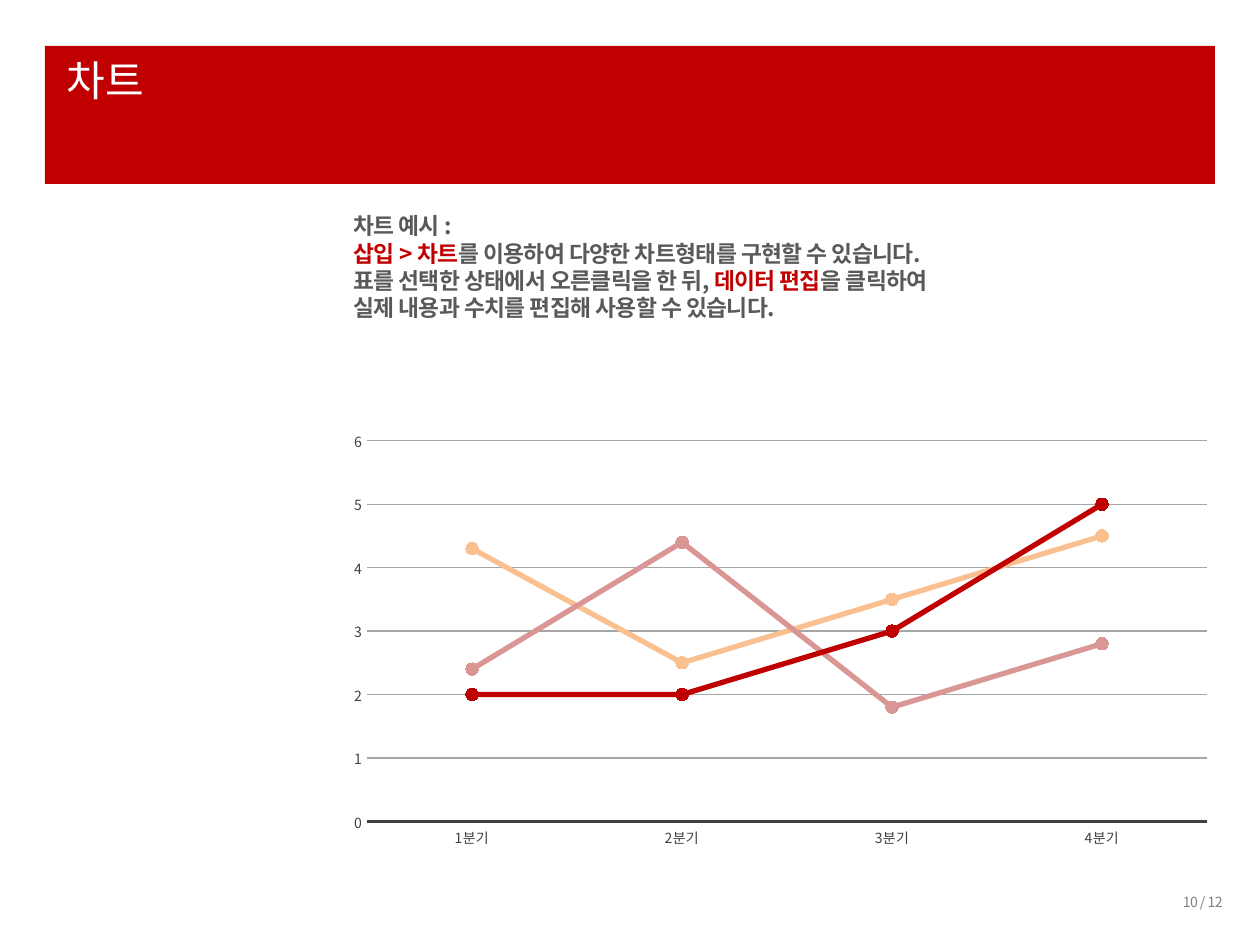
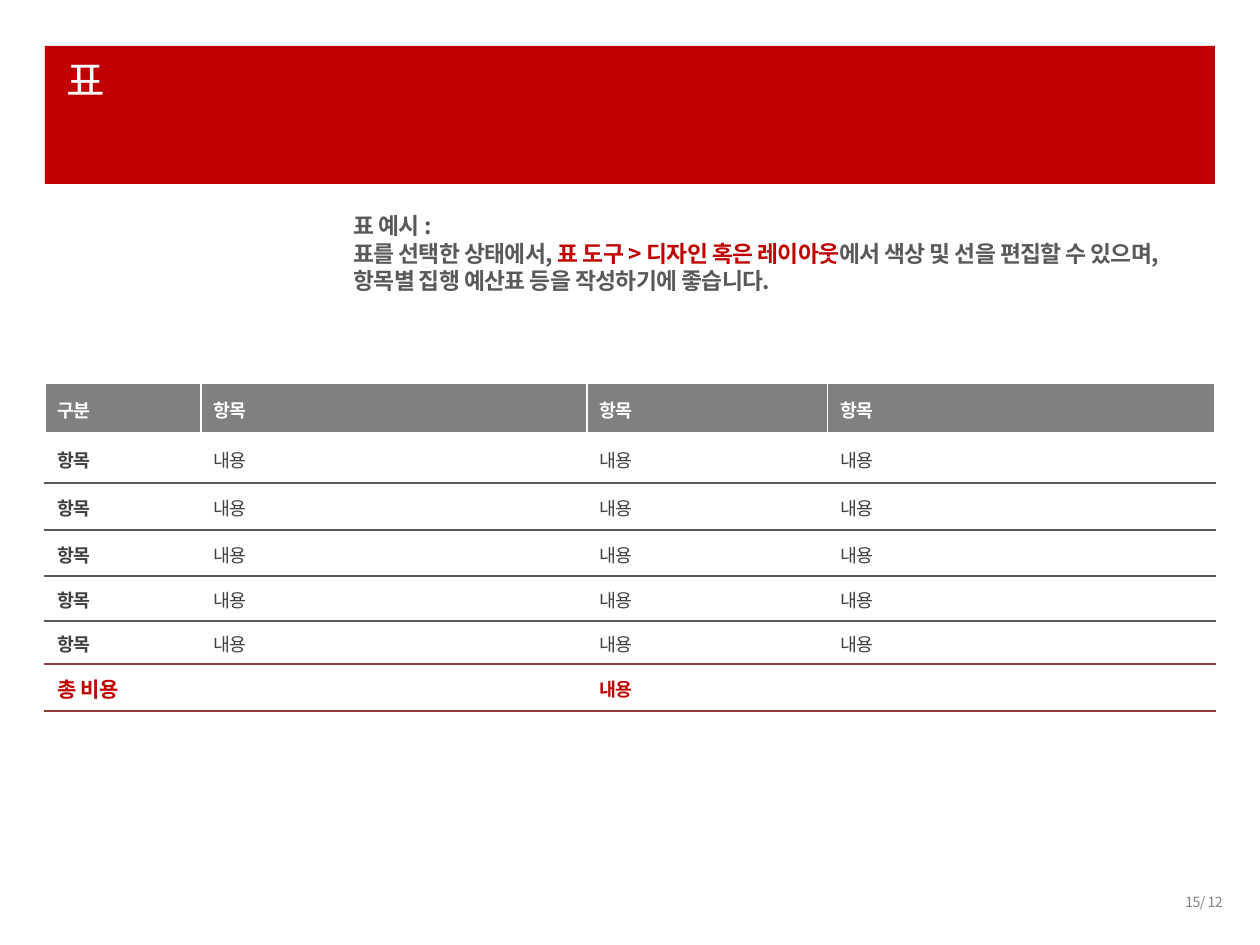
from lxml.etree import SubElement
from pptx import Presentation
from pptx.chart.data import CategoryChartData
from pptx.dml.color import RGBColor
from pptx.enum.chart import XL_CHART_TYPE as ChartType, XL_MARKER_STYLE as Marker, XL_TICK_MARK as Tick
from pptx.enum.shapes import MSO_SHAPE as Shape
from pptx.enum.text import MSO_ANCHOR as Anchor, MSO_AUTO_SIZE as AutoSize, PP_ALIGN as Align
from pptx.oxml import parse_xml
from pptx.oxml.ns import nsdecls, qn
from pptx.util import Emu, Pt

PX_PER_INCH = 126
FONT = "Noto Sans CJK KR"
RED = RGBColor(0xC0, 0x00, 0x00)
DARK_RED = RGBColor(0x95, 0x37, 0x35)
ROSE = RGBColor(0xD9, 0x96, 0x94)
PEACH = RGBColor(0xFA, 0xC0, 0x90)
WHITE = RGBColor(0xFF, 0xFF, 0xFF)
INK = RGBColor(0x40, 0x40, 0x40)
BODY_GRAY = RGBColor(0x59, 0x59, 0x59)
MID_GRAY = RGBColor(0x80, 0x80, 0x80)
GRID_GRAY = RGBColor(0xA6, 0xA6, 0xA6)

CHART_GUIDE = [
    "차트 예시 :",
    "*삽입 > 차트*를 이용하여 다양한 차트형태를 구현할 수 있습니다.",
    "표를 선택한 상태에서 오른클릭을 한 뒤, *데이터 편집*을 클릭하여",
    "실제 내용과 수치를 편집해 사용할 수 있습니다.",
]
TABLE_GUIDE = [
    "표 예시 :",
    "표를 선택한 상태에서, *표 도구 > 디자인 혹은 레이아웃*에서 색상 및 선을 편집할 수 있으며,",
    "항목별 집행 예산표 등을 작성하기에 좋습니다.",
]
QUARTERS = ["1분기", "2분기", "3분기", "4분기"]
QUARTER_SERIES = [
    ("내용", (4.3, 2.5, 3.5, 4.5), PEACH),
    ("내용2", (2.4, 4.4, 1.8, 2.8), ROSE),
    ("내용3", (2, 2, 3, 5), RED),
]
BUDGET_ROWS = [
    ["구분", "항목", "항목", "항목"],
    *[["항목", "내용", "내용", "내용"]] * 5,
    ["총 비용", "", "내용", ""],
]
COLUMN_WIDTHS = [156, 386, 241, 387]
ROW_HEIGHTS = [50, 50, 47, 46, 45, 43, 47]
RULE_COLORS = [WHITE] + [BODY_GRAY] * 4 + [DARK_RED] * 2


def px(length):
    return Emu(round(length * 914400 / PX_PER_INCH))


def box(*lengths):
    return [px(length) for length in lengths]


def style_font(font, size, color, bold=False, spacing=None):
    """Format Latin and East Asian text alike; spacing is in hundredths of a point."""
    font.size = Pt(size)
    font.bold = bold
    font.color.rgb = color
    font.name = FONT
    SubElement(font._rPr, qn("a:ea"), typeface=FONT)
    if spacing is not None:
        font._rPr.set("spc", str(spacing))


def add_titled_slide(prs, title_text):
    slide = prs.slides.add_slide(prs.slide_layouts[5])
    title = slide.shapes.title
    title.left, title.top, title.width, title.height = box(54, 48, 1134, 118)
    frame = title.text_frame
    frame.text = title_text
    frame.auto_size = AutoSize.NONE
    frame.vertical_anchor = Anchor.TOP
    frame.paragraphs[0].alignment = Align.LEFT
    style_font(frame.paragraphs[0].runs[0].font, 24, WHITE)

    band = slide.shapes.add_shape(Shape.RECTANGLE, *box(45, 46, 1170, 138))
    band.shadow.inherit = False
    band.fill.solid()
    band.fill.fore_color.rgb = RED
    band.line.fill.background()
    title._element.addprevious(band._element)
    return slide


def add_page_number(slide, text):
    frame = slide.shapes.add_textbox(*box(1017, 887, 218, 30)).text_frame
    frame.word_wrap = True
    frame.text = text
    frame.paragraphs[0].alignment = Align.RIGHT
    style_font(frame.paragraphs[0].runs[0].font, 8, MID_GRAY, spacing=-30)


def add_guide(slide, lines, width, height):
    """Write one paragraph per line, with the parts between asterisks in red."""
    frame = slide.shapes.add_textbox(*box(341, 206, width, height)).text_frame
    frame.word_wrap = True
    for number, line in enumerate(lines):
        paragraph = frame.add_paragraph() if number else frame.paragraphs[0]
        for part, text in enumerate(line.split("*")):
            if text:
                run = paragraph.add_run()
                run.text = text
                style_font(run.font, 13, RED if part % 2 else BODY_GRAY, True, -30)


def place_plot(chart, **fractions):
    """Fix the inner plot area at fractions of the chart's size."""
    plot_area = chart._chartSpace.chart.plotArea
    for layout in plot_area.findall(qn("c:layout")):
        plot_area.remove(layout)
    modes = '<c:layoutTarget val="inner"/><c:xMode val="edge"/><c:yMode val="edge"/>'
    values = "".join(f'<c:{key} val="{value}"/>' for key, value in fractions.items())
    plot_area.insert(0, parse_xml(
        f'<c:layout {nsdecls("c")}><c:manualLayout>{modes}{values}</c:manualLayout></c:layout>'))


def add_quarter_chart(slide):
    data = CategoryChartData()
    data.categories = QUARTERS
    for name, values, _ in QUARTER_SERIES:
        data.add_series(name, values)
    chart = slide.shapes.add_chart(
        ChartType.LINE_MARKERS, *box(336, 353, 888, 505), data).chart
    chart.has_title = False
    chart.has_legend = False
    style_font(chart.font, 8, INK)
    place_plot(chart, x=0.035, y=0.174, w=0.946, h=0.754)

    quarters, scale = chart.category_axis, chart.value_axis
    for axis in (quarters, scale):
        style_font(axis.tick_labels.font, 8, INK)
    quarters.major_tick_mark = Tick.NONE
    quarters.format.line.color.rgb = INK
    quarters.format.line.width = Pt(1.25)
    scale.minimum_scale, scale.maximum_scale, scale.major_unit = 0, 6, 1
    scale.major_tick_mark = Tick.INSIDE
    scale.format.line.fill.background()
    scale.major_gridlines.format.line.color.rgb = GRID_GRAY
    scale.major_gridlines.format.line.width = Pt(0.75)

    chart.plots[0].vary_by_categories = False
    for series, (_, _, color) in zip(chart.plots[0].series, QUARTER_SERIES):
        series.smooth = False
        series.format.line.color.rgb = color
        series.format.line.width = Pt(3)
        series.marker.style = Marker.CIRCLE
        series.marker.size = 7
        series.marker.format.fill.solid()
        series.marker.format.fill.fore_color.rgb = color
        series.marker.format.line.color.rgb = color


def set_borders(cell, borders):
    """Draw (side, colour, points) borders, given in the order L, R, T, B."""
    properties = cell._tc.get_or_add_tcPr()
    for position, (side, color, points) in enumerate(borders):
        properties.insert(position, parse_xml(
            f'<a:ln{side} {nsdecls("a")} w="{Pt(points)}"><a:solidFill>'
            f'<a:srgbClr val="{color}"/></a:solidFill></a:ln{side}>'))


def write_cell(cell, text, size, color, bold):
    cell.vertical_anchor = Anchor.MIDDLE
    cell.text_frame.text = text
    paragraph = cell.text_frame.paragraphs[0]
    paragraph.line_spacing = 1.1
    for run in paragraph.runs:
        style_font(run.font, size, color, bold, -30)
    if not text:
        SubElement(paragraph._p, qn("a:endParaRPr"), sz=str(round(size * 100)))


def add_budget_table(slide):
    last_row, last_column = len(ROW_HEIGHTS) - 1, len(COLUMN_WIDTHS) - 1
    table = slide.shapes.add_table(
        len(ROW_HEIGHTS), len(COLUMN_WIDTHS),
        *box(45, 383, sum(COLUMN_WIDTHS), sum(ROW_HEIGHTS))).table
    table.horz_banding = False
    for column, width in zip(table.columns, COLUMN_WIDTHS):
        column.width = px(width)
    for r, (row, height) in enumerate(zip(table.rows, ROW_HEIGHTS)):
        row.height = px(height)
        is_header, is_total = r == 0, r == last_row
        color = WHITE if is_header else RED if is_total else INK
        for c, cell in enumerate(row.cells):
            size = 12 if is_total and c == 0 else 10.5
            write_cell(cell, BUDGET_ROWS[r][c], size, color, is_header or is_total or c == 0)
            borders = [("B", RULE_COLORS[r], 1)]
            if is_header:
                cell.fill.solid()
                cell.fill.fore_color.rgb = MID_GRAY
                if c < last_column:
                    borders.insert(0, ("R", WHITE, 0.75))
                if c > 0:
                    borders.insert(0, ("L", WHITE, 0.75))
            else:
                cell.fill.background()
                borders.insert(0, ("T", RULE_COLORS[r - 1], 1))
            set_borders(cell, borders)


def main():
    prs = Presentation()
    prs.slide_width, prs.slide_height = box(1260, 945)

    chart_slide = add_titled_slide(prs, "차트")
    add_quarter_chart(chart_slide)
    add_page_number(chart_slide, "10 / 12")
    add_guide(chart_slide, CHART_GUIDE, 874, 145)

    table_slide = add_titled_slide(prs, "표")
    add_budget_table(table_slide)
    add_page_number(table_slide, "15/ 12")
    add_guide(table_slide, TABLE_GUIDE, 895, 112)

    prs.save("out.pptx")


if __name__ == "__main__":
    main()
